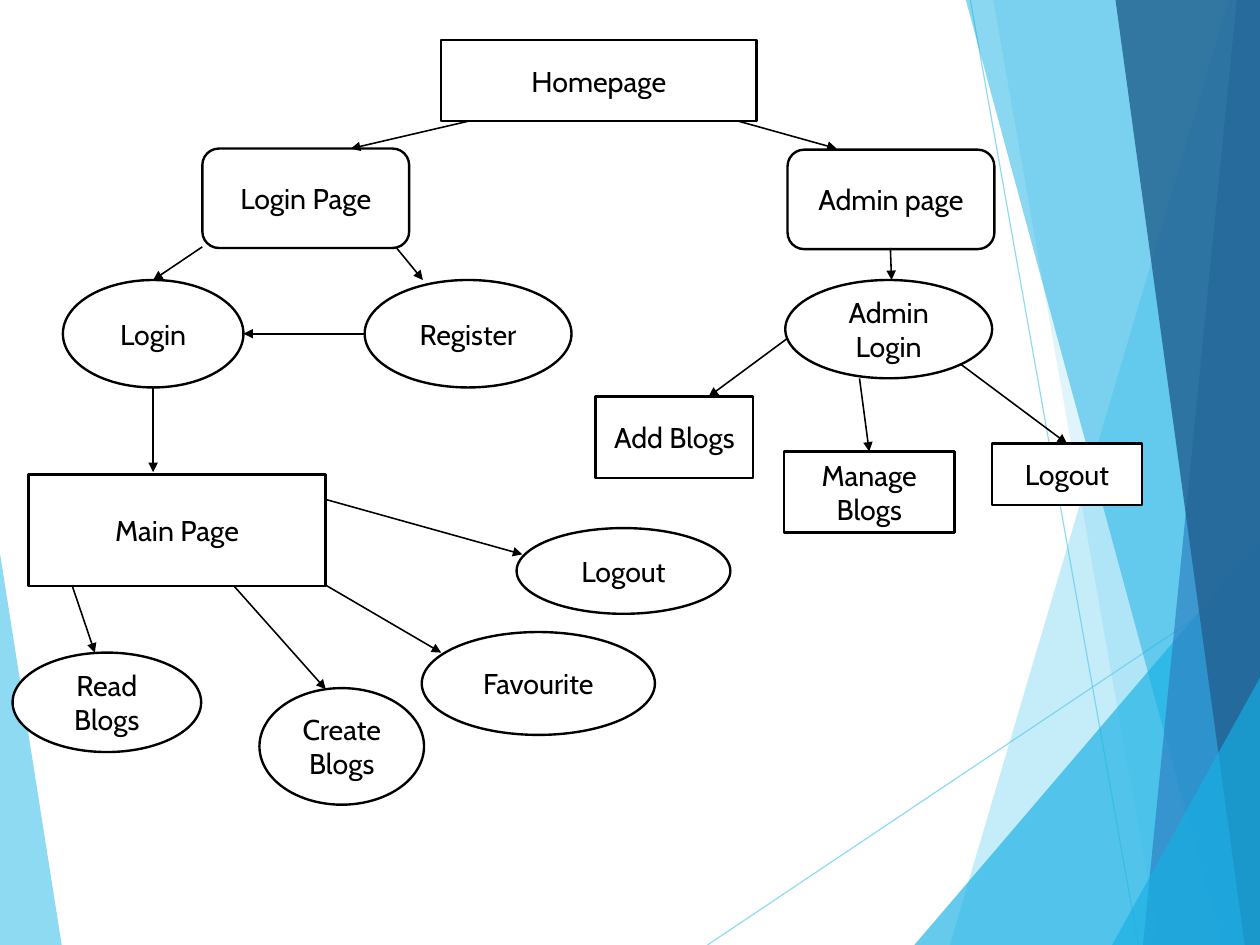
from dataclasses import dataclass

from lxml import etree
from pptx import Presentation
from pptx.dml.color import RGBColor
from pptx.enum.shapes import MSO_CONNECTOR, MSO_SHAPE
from pptx.enum.text import MSO_ANCHOR, PP_ALIGN
from pptx.oxml.ns import qn
from pptx.util import Inches, Pt

RECT = MSO_SHAPE.RECTANGLE
ROUND = MSO_SHAPE.ROUNDED_RECTANGLE
OVAL = MSO_SHAPE.OVAL
STRAIGHT = MSO_CONNECTOR.STRAIGHT
CENTER = PP_ALIGN.CENTER
MIDDLE = MSO_ANCHOR.MIDDLE
BLANK_LAYOUT = 6
TOP_SITE = 0

# A slide of 28 by 21 cm, in inches
WIDTH, HEIGHT = 28 / 2.54, 21 / 2.54


@dataclass(frozen=True)
class Theme:
    font: str = "Cabin"
    text_size: float = 18
    ink: str = "000000"
    paper: str = "FFFFFF"
    sky: str = "5FCBEF"
    cyan: str = "17B0E4"
    blue: str = "2E83C3"
    navy: str = "236292"
    box_line: float = 1.5
    arrow_line: float = 1
    ray_line: float = 0.75


THEME = Theme()

# Corner points, colour, opacity in percent, from back to front
LEFT_FACET = ([(0, 4.84), (0.54, HEIGHT), (0, HEIGHT)], THEME.sky, 70)
RIGHT_FACETS = [
    ([(10.75, 0), (8.31, HEIGHT), (WIDTH, HEIGHT), (WIDTH, 0)], THEME.sky, 36),
    ([(8.69, 0), (10.14, HEIGHT), (WIDTH, HEIGHT), (WIDTH, 0)], THEME.sky, 20),
    ([(8, HEIGHT), (WIDTH, 4.73), (WIDTH, HEIGHT)], THEME.cyan, 66),
    ([(8.45, 0), (10.69, HEIGHT), (WIDTH, HEIGHT), (WIDTH, 0)], THEME.cyan, 50),
    ([(10.82, 0), (10, HEIGHT), (WIDTH, HEIGHT), (WIDTH, 0)], THEME.blue, 70),
    ([(9.76, 0), (10.89, HEIGHT), (WIDTH, HEIGHT), (WIDTH, 0)], THEME.navy, 82),
    ([(9.73, HEIGHT), (WIDTH, 5.93), (WIDTH, HEIGHT)], THEME.cyan, 66),
]
RAYS = [((6.19, HEIGHT), (WIDTH, 5.03)), ((8.49, 0), (9.96, HEIGHT))]

# Key: preset, text, left, top, width, height
NODES = {
    "home": (RECT, "Homepage", 3.86, 0.35, 2.76, 0.71),
    "login page": (ROUND, "Login Page", 1.77, 1.3, 1.81, 0.87),
    "admin page": (ROUND, "Admin page", 6.89, 1.31, 1.81, 0.87),
    "login": (OVAL, "Login", 0.55, 2.45, 1.58, 0.94),
    "register": (OVAL, "Register", 3.19, 2.45, 1.81, 0.94),
    "admin login": (OVAL, "Admin Login", 6.87, 2.45, 1.81, 0.86),
    "main": (RECT, "Main Page", 0.25, 4.15, 2.6, 0.98),
    "add": (RECT, "Add Blogs", 5.21, 3.47, 1.38, 0.71),
    "manage": (RECT, "Manage Blogs", 6.86, 3.95, 1.49, 0.71),
    "admin logout": (RECT, "Logout", 8.68, 3.88, 1.31, 0.54),
    "read": (OVAL, "Read Blogs", 0.11, 5.71, 1.65, 0.87),
    "create": (OVAL, "Create Blogs", 2.27, 6.02, 1.44, 1.02),
    "favourite": (OVAL, "Favourite", 3.69, 5.53, 2.04, 0.9),
    "logout": (OVAL, "Logout", 4.52, 4.62, 1.87, 0.75),
}

# Start point, end point, node whose top the arrow is attached to
ARROWS = [
    ((4.1, 1.06), (3.07, 1.3), None),
    ((6.46, 1.06), (7.32, 1.3), None),
    ((1.77, 2.16), (1.34, 2.45), "login"),
    ((3.47, 2.17), (3.7, 2.45), None),
    ((7.79, 2.17), (7.8, 2.45), None),
    ((3.19, 2.92), (2.13, 2.92), None),
    ((1.34, 3.39), (1.34, 4.13), None),
    ((6.89, 2.96), (6.2, 3.47), None),
    ((7.52, 3.31), (7.6, 3.95), "manage"),
    ((8.41, 3.19), (9.34, 3.88), "admin logout"),
    ((0.63, 5.12), (0.83, 5.71), None),
    ((2.05, 5.13), (2.85, 6.03), None),
    ((2.85, 5.12), (3.86, 5.71), None),
    ((2.85, 4.37), (4.57, 4.85), None),
]


def write_text(tf, text, *, size, font, color, align=CENTER, anchor=MIDDLE):
    tf.word_wrap = True
    tf.vertical_anchor = anchor
    p = tf.paragraphs[0]
    p.alignment = align
    r = p.add_run()
    r.text = text
    r.font.size = Pt(size)
    r.font.name = font
    r.font.color.rgb = RGBColor.from_string(color)


def set_solid(fill, color):
    fill.solid()
    fill.fore_color.rgb = RGBColor.from_string(color)


def set_opacity(sp, percent):
    """Apply opacity to the first solid colour of a shape or line."""
    color = next(sp._element.spPr.iter(qn("a:srgbClr")))
    etree.SubElement(color, qn("a:alpha"), val=str(percent * 1000))


class FlowSlide:
    def __init__(self, prs, theme):
        self.theme = theme
        self.shapes = prs.slides.add_slide(prs.slide_layouts[BLANK_LAYOUT]).shapes

    def facet(self, points, color, opacity):
        corners = [(Inches(x), Inches(y)) for x, y in points]
        builder = self.shapes.build_freeform(*corners[0])
        builder.add_line_segments(corners[1:], close=True)
        sp = builder.convert_to_shape()
        sp.shadow.inherit = False
        set_solid(sp.fill, color)
        sp.line.fill.background()
        set_opacity(sp, opacity)

    def line(self, start, end, color, width):
        cxn = self.shapes.add_connector(
            STRAIGHT, *(Inches(v) for v in (*start, *end)))
        set_solid(cxn.line.fill, color)
        cxn.line.width = Pt(width)
        etree.SubElement(cxn._element.spPr, qn("a:effectLst"))
        return cxn

    def ray(self, start, end):
        cxn = self.line(start, end, self.theme.sky, self.theme.ray_line)
        set_opacity(cxn, 70)

    def arrow(self, start, end, target=None):
        cxn = self.line(start, end, self.theme.ink, self.theme.arrow_line)
        etree.SubElement(cxn.line._get_or_add_ln(), qn("a:tailEnd"), type="triangle")
        if target is not None:
            cxn.end_connect(target, TOP_SITE)

    def node(self, preset, text, *box):
        sp = self.shapes.add_shape(preset, *(Inches(v) for v in box))
        sp.shadow.inherit = False
        set_solid(sp.fill, self.theme.paper)
        set_solid(sp.line.fill, self.theme.ink)
        sp.line.width = Pt(self.theme.box_line)
        write_text(sp.text_frame, text, size=self.theme.text_size,
                   font=self.theme.font, color=self.theme.ink)
        return sp


def main():
    prs = Presentation()
    prs.slide_width, prs.slide_height = Inches(WIDTH), Inches(HEIGHT)
    s = FlowSlide(prs, THEME)
    s.facet(*LEFT_FACET)
    for ray in RAYS:
        s.ray(*ray)
    for facet in RIGHT_FACETS:
        s.facet(*facet)
    nodes = {key: s.node(*node) for key, node in NODES.items()}
    for start, end, target in ARROWS:
        s.arrow(start, end, nodes.get(target))
    prs.save("out.pptx")


if __name__ == "__main__":
    main()
